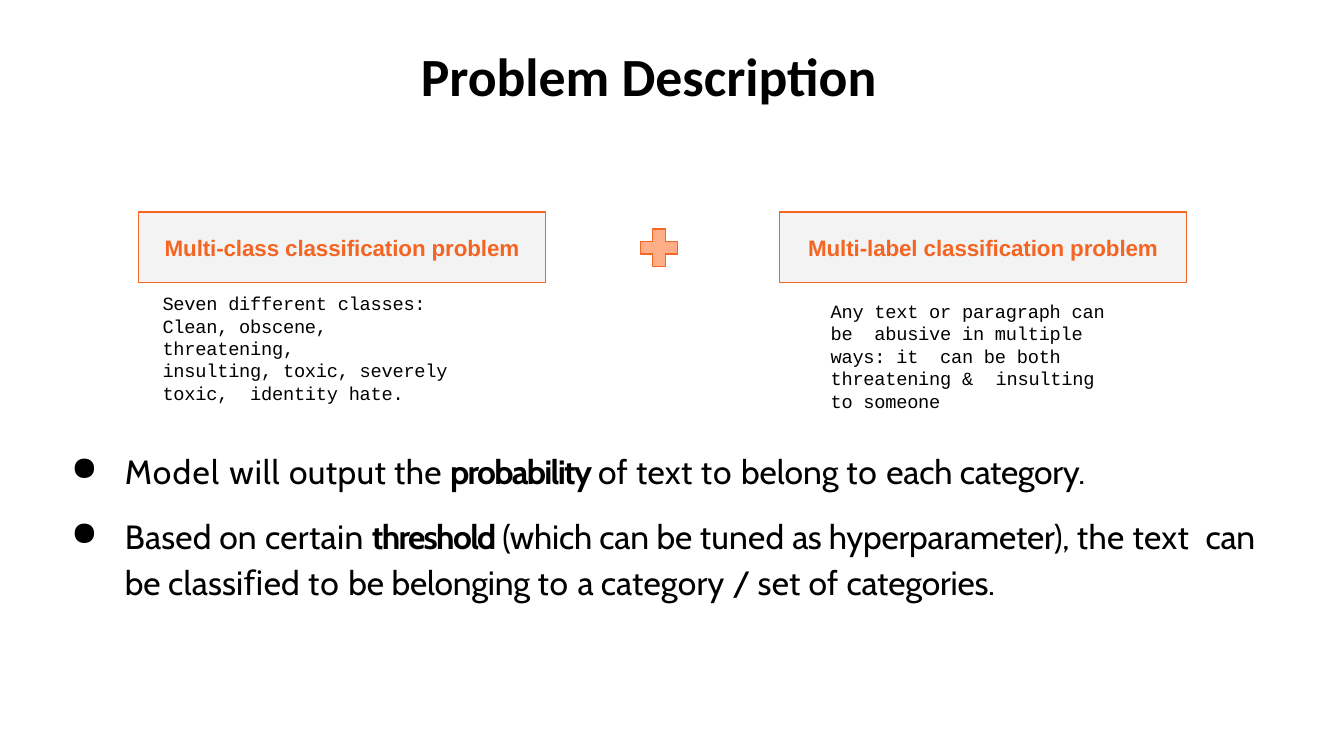
from dataclasses import dataclass
from collections import namedtuple
from lxml.etree import SubElement
from pptx import Presentation
from pptx.dml.color import RGBColor
from pptx.enum.shapes import MSO_SHAPE
from pptx.enum.text import MSO_ANCHOR, MSO_AUTO_SIZE, PP_ALIGN
from pptx.oxml.ns import qn
from pptx.util import Pt

Box = namedtuple("Box", "left top width height")
Words = namedtuple("Words", "text spacing bold", defaults=(0, False))


@dataclass(frozen=True)
class Theme:
    ink: RGBColor = RGBColor.from_string("000000")
    accent: RGBColor = RGBColor.from_string("F46524")
    accent_light: RGBColor = RGBColor.from_string("FFAE88")
    panel: RGBColor = RGBColor.from_string("F3F3F3")
    title_font: str = "Calibri"
    body_font: str = "Cabin"
    label_font: str = "Arial"
    note_font: str = "Courier New"
    title_size: float = 28.8
    body_size: float = 18
    label_size: float = 12
    note_size: float = 10
    outline: float = 0.75


THEME = Theme()

BULLETS = [
    [
        Words("Model ", 0.7), Words("will ", 0.5), Words("output the ", 0.2),
        Words("probability ", -0.9, True), Words("of text ", 0.2), Words("to ", 0.5),
        Words("belong "), Words("to ", 0.5), Words("each ", -0.1), Words("category.", -0.2),
    ],
    [
        Words("Based on ", 0.1), Words("certain ", 0.2), Words("threshold ", -0.9, True),
        Words("(which can ", -0.1), Words("be "), Words("tuned ", 0.1), Words("as ", -0.3),
        Words("hyperparameter), ", -0.1), Words("the text  ", 0.2), Words("can ", -0.1),
        Words("be "), Words("classiﬁed ", 0.1), Words("to ", 0.5), Words("be "),
        Words("belonging ", -0.1), Words("to ", 0.5), Words("a ", -0.3),
        Words("category ", 0.1), Words("/ ", -0.2), Words("set ", 0.1),
        Words("of ", 0.2), Words("categories.", -0.1),
    ],
]
CLASS_NOTE = [
    [Words("Seven different classes:  Clean, obscene, threatening,", -0.1)],
    [Words("insulting, toxic, severely toxic,  identity hate.", -0.1)],
]
LABEL_NOTE = [
    [
        Words("Any text or paragraph can be  abusive in multiple ways: it  can be both threatening ", -0.1),
        Words("&  "),
        Words("insulting to someone", -0.1),
    ],
]


def place(box):
    return [Pt(length) for length in box]


def style_span(span, font, size, color, bold=False, spacing=0):
    span.font.name = font
    span.font.size = Pt(size)
    span.font.color.rgb = color
    span.font.bold = bold
    if spacing:
        span.font._element.set("spc", str(round(spacing * 100)))


def set_insets(frame, top=0, right=0):
    frame.margin_left = frame.margin_bottom = 0
    frame.margin_top, frame.margin_right = Pt(top), Pt(right)
    frame.word_wrap = True


def fill_para(para, words, font, size):
    for part in words:
        span = para.add_run()
        span.text = part.text
        style_span(span, font, size, THEME.ink, part.bold, part.spacing)


def add_text(page, box, paragraphs, font, size, right=0):
    frame = page.shapes.add_textbox(*place(box)).text_frame
    set_insets(frame, top=1, right=right)
    for index, words in enumerate(paragraphs):
        para = frame.add_paragraph() if index else frame.paragraphs[0]
        para.space_before = Pt(0 if index else 1)
        fill_para(para, words, font, size)
    return frame


def add_panel(page, kind, box, fill):
    shape = page.shapes.add_shape(kind, *place(box))
    shape.shadow.inherit = False
    shape.fill.solid()
    shape.fill.fore_color.rgb = fill
    shape.line.color.rgb = THEME.accent
    shape.line.width = Pt(THEME.outline)
    return shape


def add_title(page, box, text):
    title = page.shapes.title
    title.left, title.top, title.width, title.height = place(box)
    frame = title.text_frame
    frame.text = text
    frame.auto_size = MSO_AUTO_SIZE.NONE
    frame.vertical_anchor = MSO_ANCHOR.MIDDLE
    para = frame.paragraphs[0]
    para.alignment = PP_ALIGN.LEFT
    para.line_spacing = 0.9
    style_span(para.runs[0], THEME.title_font, THEME.title_size, THEME.ink, True)


def add_problem(page, box, label, note, note_box, right=0):
    panel = add_panel(page, MSO_SHAPE.RECTANGLE, box, THEME.panel)
    frame = panel.text_frame
    set_insets(frame)
    frame.vertical_anchor = MSO_ANCHOR.MIDDLE
    frame.text = label
    para = frame.paragraphs[0]
    para.alignment = PP_ALIGN.CENTER
    style_span(para.runs[0], THEME.label_font, THEME.label_size, THEME.accent, True, -0.05)
    inside = note_box._replace(left=box.left + note_box.left, top=box.top + note_box.top)
    add_text(page, inside, note, THEME.note_font, THEME.note_size, right)


def add_plus(page, box):
    plus = add_panel(page, MSO_SHAPE.CROSS, box, THEME.accent_light)
    plus.adjustments[0] = 0.33


def add_bullets(page, box, paragraphs):
    frame = add_text(page, box, paragraphs, THEME.body_font, THEME.body_size)
    for para in frame.paragraphs:
        properties = para._p.get_or_add_pPr()
        properties.set("marL", str(Pt(29.5)))
        properties.set("indent", str(Pt(-28.8)))
        SubElement(properties, qn("a:buChar"), char="●")
    last = frame.paragraphs[-1]
    last.space_before = Pt(9.8)
    last.line_spacing = 1.15


def build_page(deck):
    page = deck.slides.add_slide(deck.slide_layouts[5])
    add_title(page, Box(218.2, 15.8, 270, 53.3), "Problem Description")
    panel = Box(74.2, 113.6, 218.2, 37.8)
    add_problem(page, panel, "Multi-class classification problem",
                CLASS_NOTE, Box(12.9, 41.8, 182.9, 49.7), right=22)
    add_problem(page, panel._replace(left=417.6), "Multi-label classification problem",
                LABEL_NOTE, Box(27.4, 46, 155.5, 49.7))
    add_plus(page, Box(343.1, 122.8, 20, 20))
    add_bullets(page, Box(37.4, 240.5, 650.2, 82.8), BULLETS)


def main():
    deck = Presentation()
    deck.slide_width, deck.slide_height = Pt(720), Pt(405)
    build_page(deck)
    deck.save("out.pptx")


if __name__ == "__main__":
    main()
